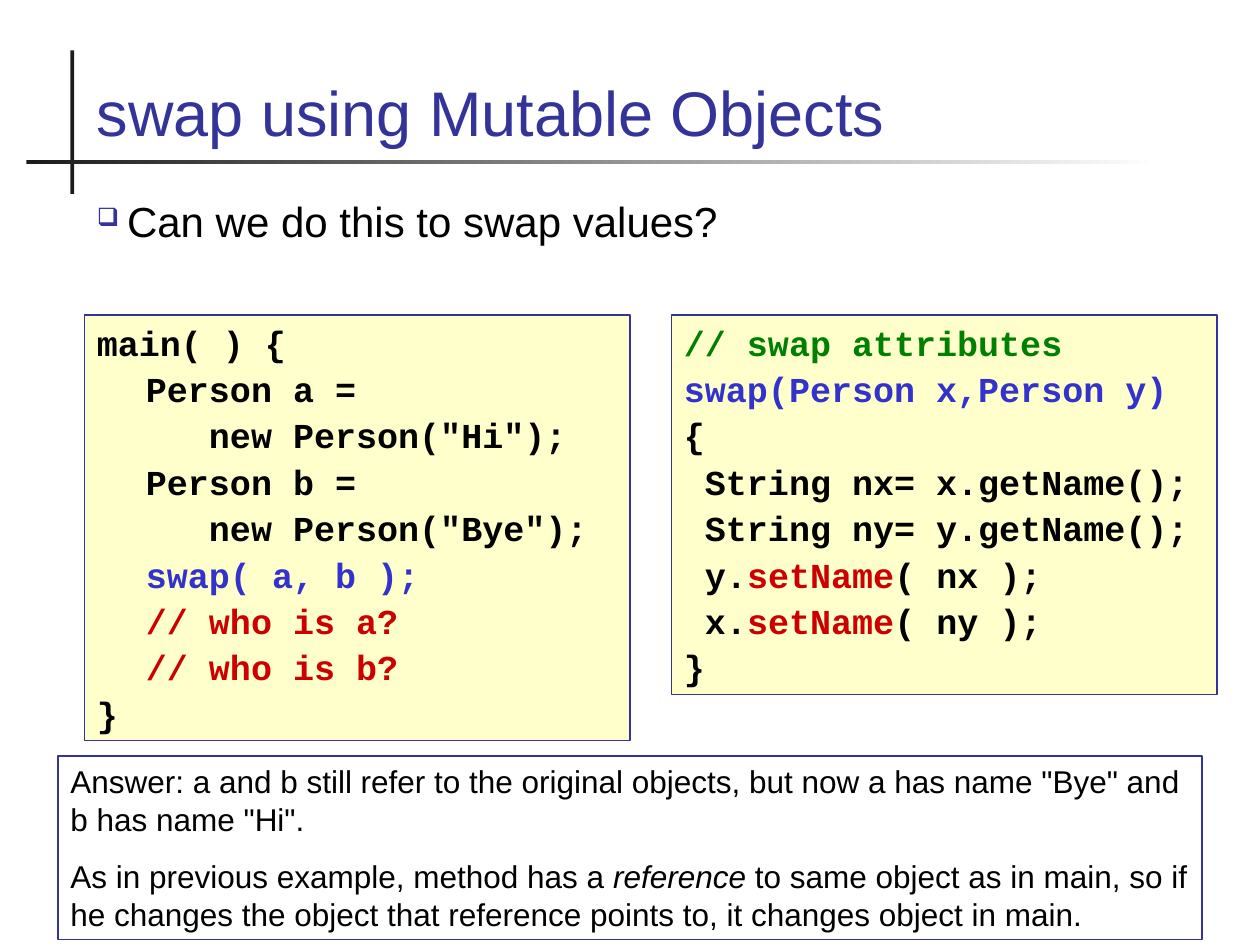
"""Build the slide about swapping the values of mutable objects."""
from lxml import etree
from pptx import Presentation
from pptx.dml.color import RGBColor
from pptx.enum.shapes import MSO_SHAPE
from pptx.enum.text import MSO_ANCHOR, MSO_AUTO_SIZE, PP_ALIGN
from pptx.oxml.ns import qn
from pptx.util import Inches, Pt

RECTANGLE = MSO_SHAPE.RECTANGLE
TOP, BOTTOM = MSO_ANCHOR.TOP, MSO_ANCHOR.BOTTOM
FIT_SHAPE = MSO_AUTO_SIZE.SHAPE_TO_FIT_TEXT
LEFT = PP_ALIGN.LEFT

BLACK, WHITE, INDIGO, CREAM, INK = "000000", "FFFFFF", "333399", "FFFFCC", "1C1C1C"
BLUE, RED, GREEN = "3333CC", "CC0000", "008000"
CODE_TAB = 0.39

TITLE = "swap using Mutable Objects"
QUESTION = "Can we do this to swap values?"
MAIN_CODE = [
    [("main( ) {", BLACK)],
    [("\tPerson a =", BLACK)],
    [('\t   new Person("Hi");', BLACK)],
    [("\tPerson b =", BLACK)],
    [('\t   new Person("Bye");', BLACK)],
    [("\tswap( a, b );", BLUE)],
    [("\t// who is a?", RED)],
    [("\t// who is b?", RED)],
    [("}", BLACK)],
]
SWAP_CODE = [
    [("// swap attributes", GREEN)],
    [("swap(Person x,Person y)", BLUE)],
    [("{", BLACK)],
    [(" String nx= x.getName();", BLACK)],
    [(" String ny= y.getName();", BLACK)],
    [(" y.", BLACK), ("setName", RED), ("( nx );", BLACK)],
    [(" x.", BLACK), ("setName", RED), ("( ny );", BLACK)],
    [("}", BLACK)],
]
ANSWER = [
    [('Answer: a and b still refer to the original objects, but now a has name "Bye" '
      'and b has name "Hi".', BLACK)],
    [("As in previous example, method has a ", BLACK),
     ("reference", BLACK, True),
     (" to same object as in main, so if he changes the object that reference "
      "points to, it changes object in main.", BLACK)],
]


def color(hex_value):
    return RGBColor.from_string(hex_value)


def add_bar(slide, box):
    bar = slide.shapes.add_shape(RECTANGLE, *map(Inches, box))
    bar.shadow.inherit = False
    bar.line.fill.background()
    return bar


def add_panel(slide, box, fill=None):
    panel = slide.shapes.add_shape(RECTANGLE, *map(Inches, box))
    panel.shadow.inherit = False
    panel.line.color.rgb = color(INDIGO)
    panel.line.width = Pt(0.75)
    if fill:
        panel.fill.solid()
        panel.fill.fore_color.rgb = color(fill)
    else:
        panel.fill.background()
    return panel


def write(shape, lines, font, size, bold=False, gap=0, anchor=TOP):
    frame = shape.text_frame
    frame.word_wrap = True
    frame.vertical_anchor = anchor
    for number, line in enumerate(lines):
        paragraph = frame.add_paragraph() if number else frame.paragraphs[0]
        paragraph.alignment = LEFT
        if number:
            paragraph.space_before = Pt(gap)
        for words, ink, *italic in line:
            run = paragraph.add_run()
            run.text = words
            run.font.name = font
            run.font.size = Pt(size)
            run.font.bold = bold
            run.font.italic = bool(italic)
            run.font.color.rgb = color(ink)
        if line[0][0].startswith("\t"):
            tabs = etree.SubElement(paragraph._p.get_or_add_pPr(), qn("a:tabLst"))
            etree.SubElement(tabs, qn("a:tab"), pos=str(Inches(CODE_TAB)), algn="l")


def add_bullet(paragraph, symbol, ink, percent, indent):
    properties = paragraph._p.get_or_add_pPr()
    properties.set("marL", str(Inches(indent)))
    properties.set("indent", str(-Inches(indent)))
    tint = etree.SubElement(properties, qn("a:buClr"))
    etree.SubElement(tint, qn("a:srgbClr"), val=ink)
    etree.SubElement(properties, qn("a:buSzPct"), val=str(percent * 1000))
    etree.SubElement(properties, qn("a:buChar"), char=symbol)


def main():
    deck = Presentation()
    deck.slide_width, deck.slide_height = Inches(10), Inches(7.5)
    slide = deck.slides.add_slide(deck.slide_layouts[6])

    upright = add_bar(slide, (0.56, 0.4, 0.03, 1.14))
    upright.fill.solid()
    upright.fill.fore_color.rgb = color(INK)
    rule = add_bar(slide, (0.21, 1.27, 8.99, 0.03))
    rule.fill.gradient()
    rule.fill.gradient_angle = 0
    for stop, ink in zip(rule.fill.gradient_stops, (INK, WHITE)):
        stop.color.rgb = color(ink)

    title = slide.shapes.add_textbox(*map(Inches, (0.67, 0.28, 8.66, 0.95)))
    write(title, [[(TITLE, INDIGO)]], "Arial", 36, anchor=BOTTOM)
    question = slide.shapes.add_textbox(*map(Inches, (0.67, 1.5, 8.66, 0.92)))
    write(question, [[(QUESTION, BLACK)]], "Arial", 24)
    add_bullet(question.text_frame.paragraphs[0], "❑", INDIGO, 60, 0.24)

    for left, height, code in ((0.67, 3.38, MAIN_CODE), (5.33, 3.01, SWAP_CODE)):
        panel = add_panel(slide, (left, 2.5, 4.33, height), CREAM)
        write(panel, code, "Courier New", 20, bold=True, gap=2.5)
        panel.text_frame.auto_size = FIT_SHAPE

    answer = add_panel(slide, (0.46, 6, 9.08, 1.46))
    write(answer, ANSWER, "Arial", 18, gap=11.2)
    answer.text_frame.auto_size = FIT_SHAPE

    deck.save("out.pptx")


if __name__ == "__main__":
    main()
